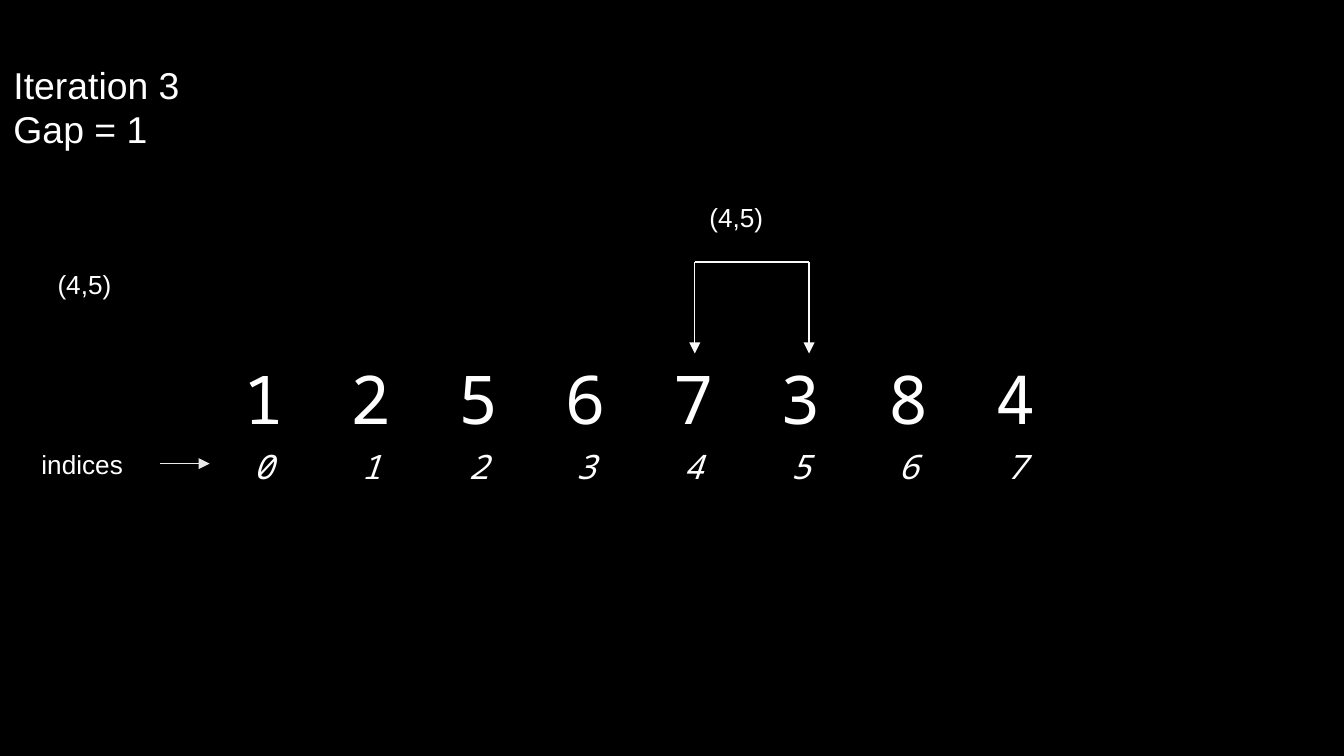
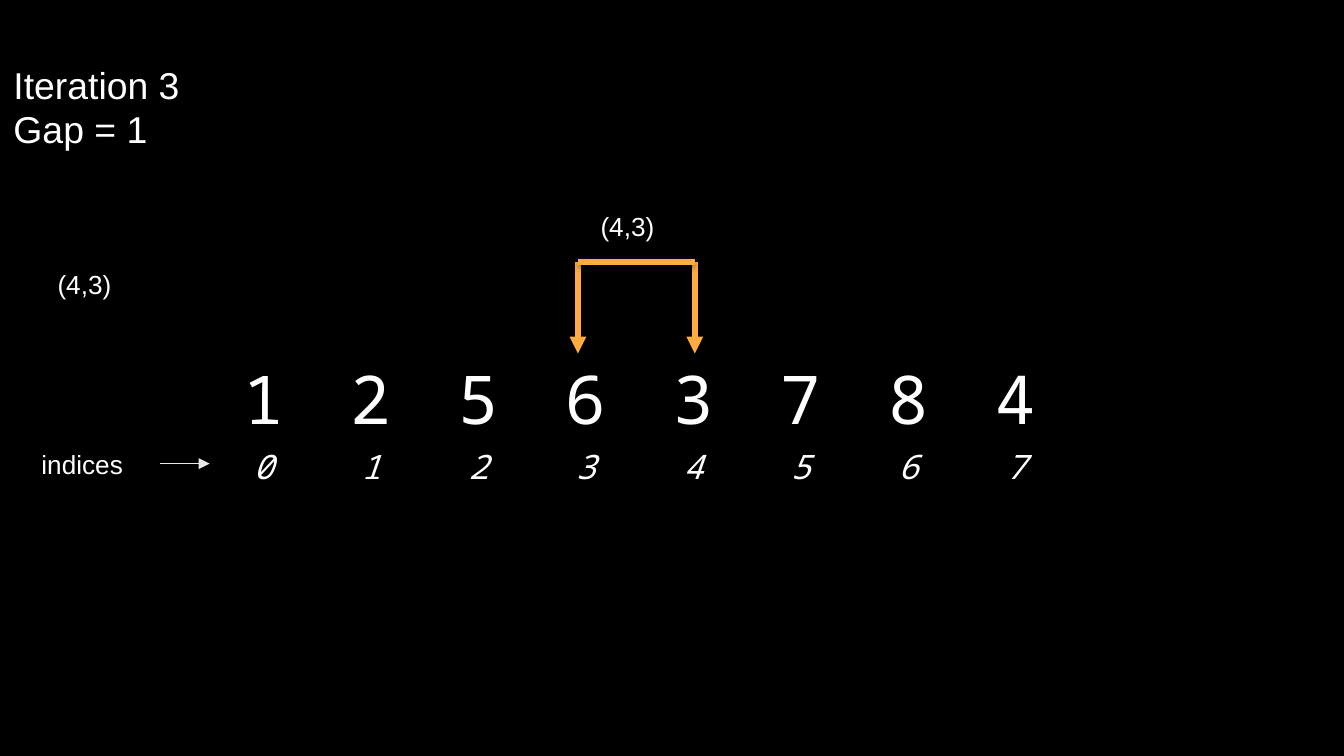
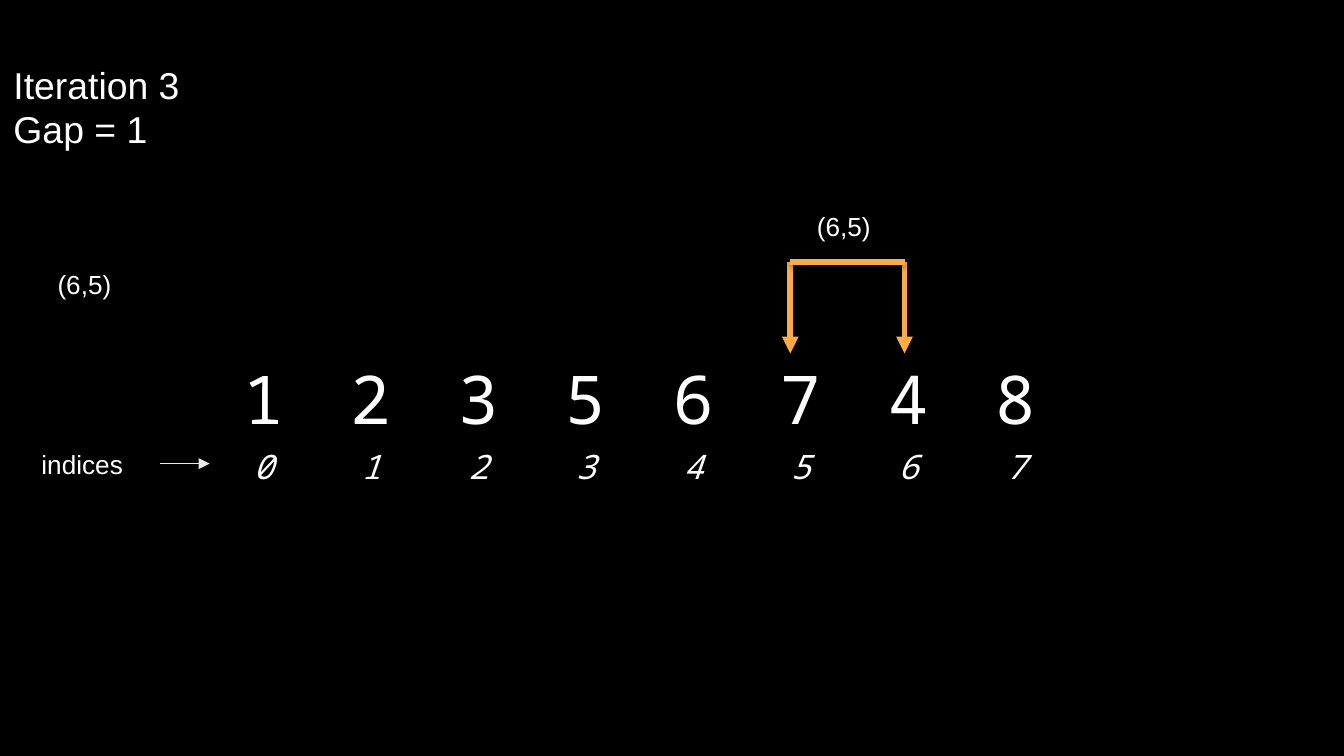
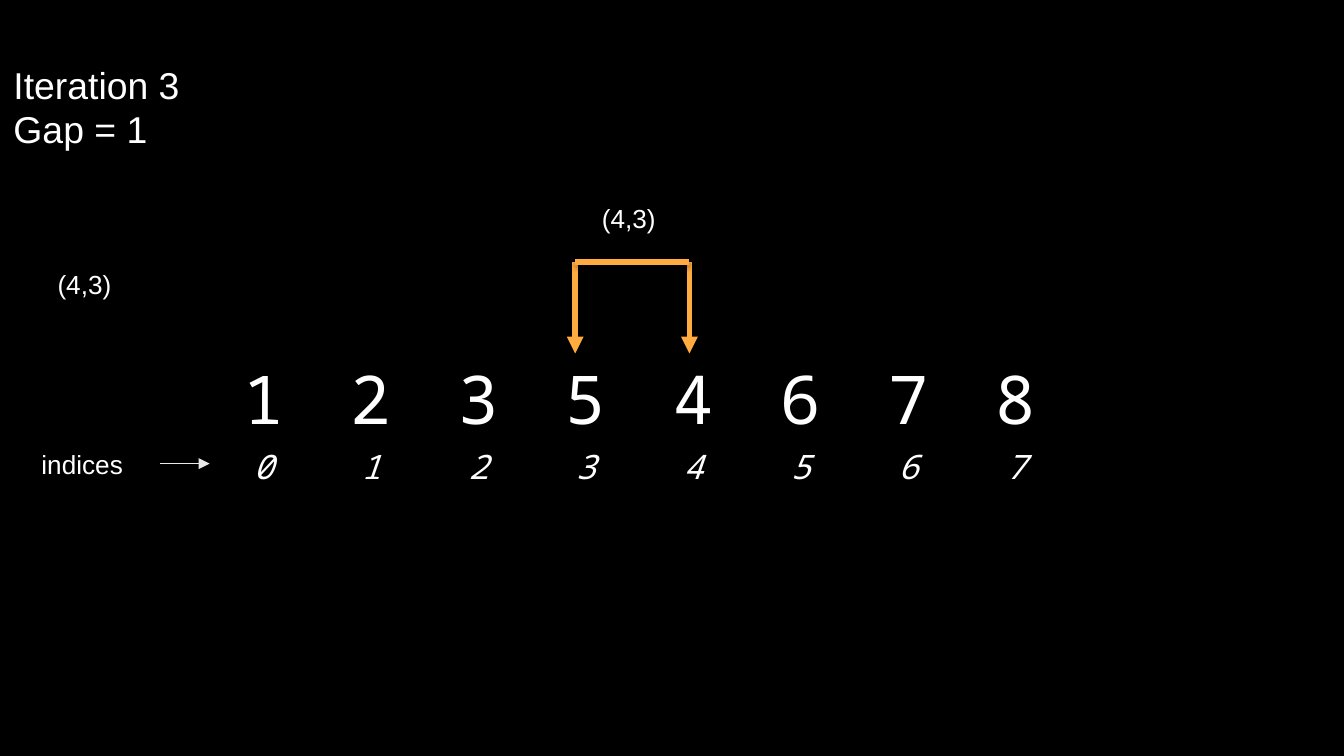
from lxml.etree import SubElement
from pptx import Presentation
from pptx.dml.color import RGBColor
from pptx.enum.shapes import MSO_CONNECTOR
from pptx.enum.text import MSO_ANCHOR, MSO_AUTO_SIZE, PP_ALIGN
from pptx.oxml.ns import qn
from pptx.util import Inches, Pt

WHITE, BLACK = "FFFFFF", "000000"
THIN = {"color": "F9F9F9", "width": 0.75}
SWAP = {"color": "FFAB40", "width": 3, "shadow": True}
POINTER = {"color": "E9E9E9", "width": 0.75}

TITLE = {"name": "Arial", "size": Pt(20), "bold": False}
LABEL = {"name": "Arial", "size": Pt(14)}
VALUE = {"name": "Noto Sans Mono", "size": Pt(36), "bold": False}
INDEX = {"name": "Noto Sans Mono", "size": Pt(18), "bold": False, "italic": True}

ROW_LEFT, CELL_WIDTH = 1.56, 0.8
BRACKET_TOP, BRACKET_BOTTOM = 1.95, 2.63

STEPS = [
    {"values": "12567384", "pair": "(4,5)", "bracket": (5.17, 6.02), "label": (5.18, 1.45), "style": THIN},
    {"values": "12563784", "pair": "(4,3)", "bracket": (4.3, 5.17), "label": (4.37, 1.52), "style": SWAP},
    {"values": "12356748", "pair": "(6,5)", "bracket": (5.88, 6.73), "label": (5.98, 1.52), "style": SWAP},
    {"values": "12354678", "pair": "(4,3)", "bracket": (4.28, 5.13), "label": (4.38, 1.46), "style": SWAP},
]


def rgb(value):
    """Turn a hex string into a colour."""
    return RGBColor.from_string(value)


class SortDeck:
    """Hold the deck style and the current page."""

    def __init__(self):
        """Open a black widescreen deck."""
        self.deck = Presentation()
        self.deck.slide_width = Inches(10)
        self.deck.slide_height = Inches(10) * 9 // 16
        fill = self.deck.slide_master.background.fill
        fill.solid()
        fill.fore_color.rgb = rgb(BLACK)
        self.page = None

    def format(self, paragraph, style, align=PP_ALIGN.LEFT):
        """Apply font values and alignment to a paragraph."""
        paragraph.alignment = align
        for span in paragraph.runs:
            for name, value in style.items():
                setattr(span.font, name, value)
            span.font.color.rgb = rgb(WHITE)

    def add_page(self, lines):
        """Start a page with its title lines."""
        self.page = self.deck.slides.add_slide(self.deck.slide_layouts[5])
        title = self.page.shapes.title
        title.left, title.top = Inches(0), Inches(0.41)
        title.width, title.height = Inches(2.01), Inches(1.11)
        frame = title.text_frame
        frame.text = "\n".join(lines)
        frame.auto_size = MSO_AUTO_SIZE.NONE
        frame.vertical_anchor = MSO_ANCHOR.TOP
        for paragraph in frame.paragraphs:
            self.format(paragraph, TITLE)

    def add_label(self, text, left, top, width=0.75):
        """Write a short label."""
        box = self.page.shapes.add_textbox(Inches(left), Inches(top), Inches(width), Inches(0.34))
        box.text_frame.word_wrap = True
        box.text_frame.text = text
        self.format(box.text_frame.paragraphs[0], LABEL)

    def add_row(self, values, top, height, style):
        """Lay out values in a one-row table without fill or borders."""
        table = self.page.shapes.add_table(
            1, len(values), Inches(ROW_LEFT), Inches(top),
            Inches(CELL_WIDTH * len(values)), Inches(height)).table
        table.first_row = table.horz_banding = False
        for cell, value in zip(table.rows[0].cells, values):
            cell.text = value
            cell.vertical_anchor = MSO_ANCHOR.MIDDLE
            for side in ("left", "right", "top", "bottom"):
                setattr(cell, f"margin_{side}", Inches(0.1))
            properties = cell._tc.get_or_add_tcPr()
            for edge in ("a:lnL", "a:lnR", "a:lnT", "a:lnB"):
                SubElement(SubElement(properties, qn(edge)), qn("a:noFill"))
            cell.fill.background()
            self.format(cell.text_frame.paragraphs[0], style, PP_ALIGN.CENTER)

    def add_line(self, start, end, color, width, shadow=False, arrow=True):
        """Draw a straight line, with an arrowhead at its end if asked."""
        line = self.page.shapes.add_connector(
            MSO_CONNECTOR.STRAIGHT, *(Inches(length) for length in (*start, *end)))
        line.line.color.rgb = rgb(color)
        line.line.width = Pt(width)
        if arrow:
            SubElement(line.line._get_or_add_ln(), qn("a:tailEnd"), type="triangle")
        effects = SubElement(line._element.spPr, qn("a:effectLst"))
        if shadow:
            outer = SubElement(effects, qn("a:outerShdw"), blurRad=str(Pt(3.1)),
                               dist=str(Pt(1.8)), dir="5400000", rotWithShape="0")
            tint = SubElement(outer, qn("a:srgbClr"), val=BLACK)
            SubElement(tint, qn("a:alpha"), val="35000")

    def add_bracket(self, left, right, style):
        """Draw two arrows down to the compared values and join them."""
        for side in (right, left):
            self.add_line((side, BRACKET_TOP), (side, BRACKET_BOTTOM), **style)
        self.add_line((left, BRACKET_TOP), (right, BRACKET_TOP), arrow=False, **style)

    def add_step(self, step):
        """Build the page of one comparison."""
        self.add_page(["Iteration 3", "Gap = 1"])
        self.add_row(step["values"], 2.52, 0.8, VALUE)
        self.add_row("01234567", 3.2, 0.41, INDEX)
        self.add_label("indices", 0.21, 3.29, 0.98)
        self.add_line((1.19, 3.45), (ROW_LEFT, 3.45), **POINTER)
        self.add_label(step["pair"], 0.33, 1.95)
        self.add_bracket(*step["bracket"], step["style"])
        self.add_label(step["pair"], *step["label"])


def main():
    """Build every step and save the deck."""
    builder = SortDeck()
    for step in STEPS:
        builder.add_step(step)
    builder.deck.save("out.pptx")


if __name__ == "__main__":
    main()
